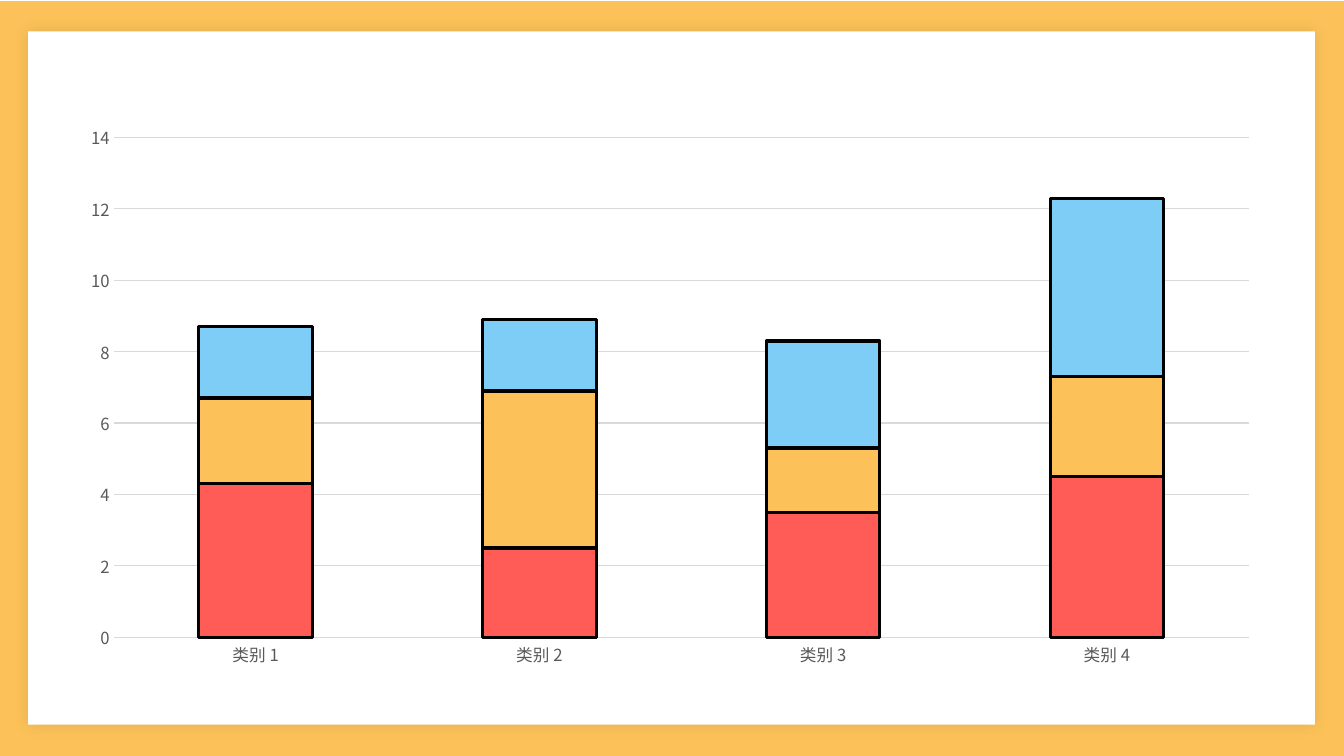
from lxml.etree import SubElement
from pptx import Presentation
from pptx.chart.data import CategoryChartData as ChartData
from pptx.dml.color import RGBColor
from pptx.enum.chart import XL_CHART_TYPE as ChartType, XL_TICK_MARK as TickMark
from pptx.enum.shapes import MSO_SHAPE as Shape
from pptx.oxml import parse_xml
from pptx.oxml.ns import nsdecls, qn
from pptx.util import Cm, Pt

FONT = "Noto Sans CJK SC"
GRID_GREY = "D9D9D9"
CATEGORIES = ["类别 1", "类别 2", "类别 3", "类别 4"]
SERIES = [
    ("Series 1", (4.3, 2.5, 3.5, 4.5), "FF5B57"),
    ("Series 2", (2.4, 4.4, 1.8, 2.8), "FCC259"),
    ("Series 3", (2, 2, 3, 5), "7ECDF7"),
]


def color(hex_text):
    return RGBColor.from_string(hex_text)


def paint(part, hex_text):
    part.fill.solid()
    part.fill.fore_color.rgb = color(hex_text)


def stroke(line, hex_text, width):
    line.color.rgb = color(hex_text)
    line.width = Pt(width)


def style_font(font, size, hex_text):
    font.name = FONT
    font.size = Pt(size)
    font.color.rgb = color(hex_text)


def add_panel(slide, left, top, width, height, fill):
    panel = slide.shapes.add_shape(
        Shape.RECTANGLE, Cm(left), Cm(top), Cm(width), Cm(height))
    panel.shadow.inherit = False
    paint(panel, fill)
    panel.line.fill.background()
    return panel


def add_glow_shadow(panel, blur, opacity):
    effects = panel._element.spPr.find(qn("a:effectLst"))
    shadow = SubElement(effects, qn("a:outerShdw"), blurRad=str(Pt(blur)),
                        dist="0", algn="ctr", rotWithShape="0")
    shadow_color = SubElement(shadow, qn("a:srgbClr"), val="000000")
    SubElement(shadow_color, qn("a:alpha"), val=str(opacity * 1000))


def add_frame(slide, left, top, width, height):
    add_panel(slide, left, top, width, height, "FCC259")
    sheet = add_panel(slide, left + 0.71, top + 0.76,
                      width - 1.44, height - 1.55, "FFFFFF")
    add_glow_shadow(sheet, blur=10, opacity=10)


def set_plot_layout(chart, **fractions):
    plot_area = chart._chartSpace.chart.plotArea
    for layout in plot_area.findall(qn("c:layout")):
        plot_area.remove(layout)
    layout = parse_xml(
        f'<c:layout {nsdecls("c")}><c:manualLayout><c:layoutTarget val="inner"/>'
        '<c:xMode val="edge"/><c:yMode val="edge"/></c:manualLayout></c:layout>')
    for name, value in fractions.items():
        SubElement(layout[0], qn(f"c:{name}"), val=str(value))
    plot_area.insert(0, layout)


def set_east_asian_font(chart):
    for latin in list(chart._chartSpace.iter(qn("a:latin"))):
        latin.addnext(parse_xml(f'<a:ea {nsdecls("a")} typeface="{FONT}"/>'))


def style_axes(chart):
    for axis in (chart.category_axis, chart.value_axis):
        axis.major_tick_mark = axis.minor_tick_mark = TickMark.NONE
        style_font(axis.tick_labels.font, 11.9, "595959")
    stroke(chart.category_axis.format.line, GRID_GREY, 0.75)
    values = chart.value_axis
    values.minimum_scale, values.maximum_scale, values.major_unit = 0, 14, 2
    values.format.line.fill.background()
    stroke(values.major_gridlines.format.line, GRID_GREY, 0.75)


def add_stacked_chart(slide, left, top, width, height):
    data = ChartData()
    data.categories = CATEGORIES
    for name, numbers, _ in SERIES:
        data.add_series(name, numbers)
    chart = slide.shapes.add_chart(
        ChartType.COLUMN_STACKED, Cm(left), Cm(top), Cm(width), Cm(height), data).chart
    chart.has_title = False
    chart.has_legend = False
    style_font(chart.font, 10, "000000")
    style_axes(chart)
    plot = chart.plots[0]
    plot.vary_by_categories = False
    plot.gap_width, plot.overlap = 150, 100
    for series, (_, _, fill) in zip(plot.series, SERIES):
        paint(series.format, fill)
        stroke(series.format.line, "000000", 2.25)
    set_plot_layout(chart, x=0.04, y=0.04, w=0.94, h=0.89)
    set_east_asian_font(chart)


def main():
    presentation = Presentation()
    presentation.slide_width, presentation.slide_height = Cm(33.87), Cm(19.05)
    slide = presentation.slides.add_slide(presentation.slide_layouts[6])
    add_frame(slide, 0, 0.03, 33.87, 19.02)
    add_stacked_chart(slide, 1.65, 2.9, 30.43, 14.15)
    presentation.save("out.pptx")


if __name__ == "__main__":
    main()
